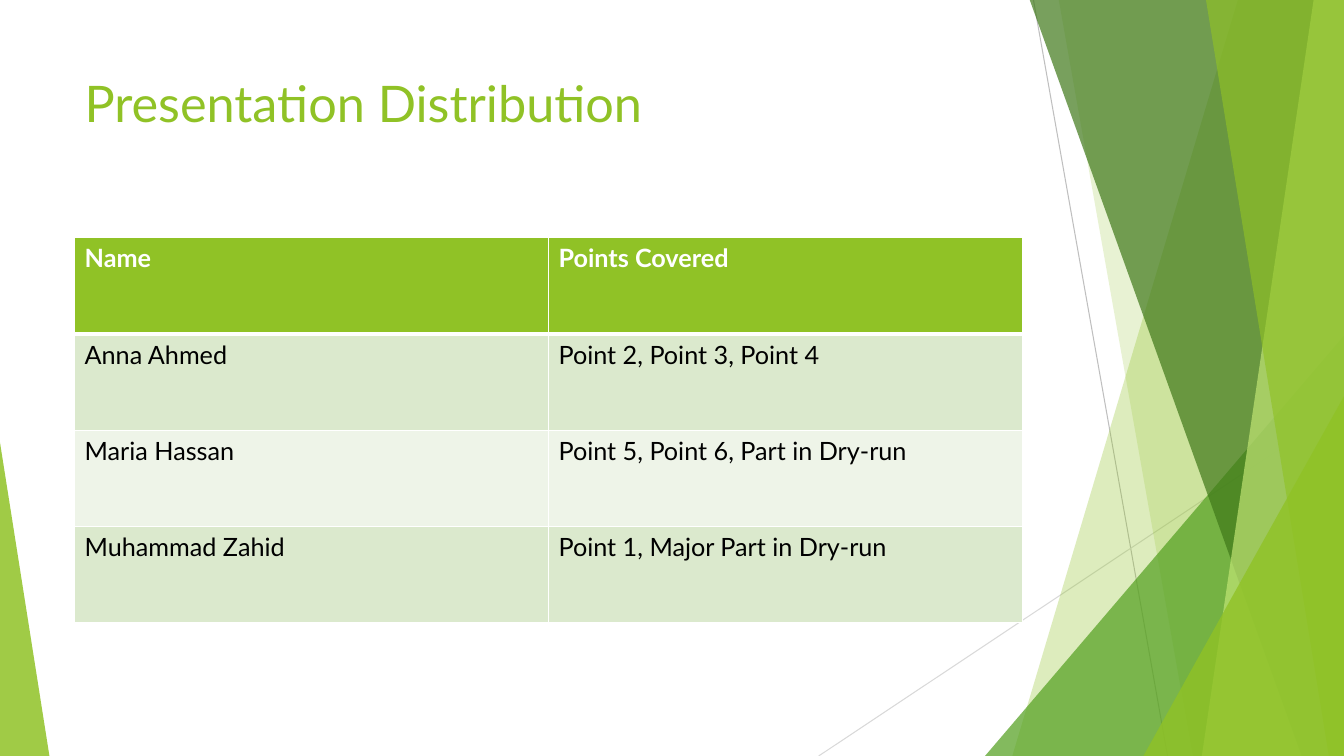
from dataclasses import dataclass

from lxml.etree import SubElement as Sub
from pptx import Presentation
from pptx.dml.color import RGBColor as Rgb
from pptx.enum.shapes import MSO_CONNECTOR as Conn, MSO_SHAPE as Kind
from pptx.enum.text import MSO_ANCHOR as Anchor
from pptx.oxml import parse_xml
from pptx.oxml.ns import nsdecls, qn
from pptx.util import Inches, Pt

FONT = "Lato"
HEX = {
    "lime": "90C226", "green": "54A021", "forest": "3F7819", "pale": "C0E474",
    "white": "FFFFFF", "black": "000000", "gray": "BFBFBF", "silver": "D9D9D9",
    "band": "DBE9CD", "light": "EEF4E8",
}
WIDE, HIGH, TOP = 13.33, 7.5, -0.01


@dataclass
class Ray:
    start: tuple[float, float]
    end: tuple[float, float]
    color: str


@dataclass
class Pane:
    """A panel that runs to the right edge of the slide."""
    top: float
    foot: float
    color: str
    alpha: int


@dataclass
class Wedge:
    left: float
    top: float
    width: float
    tip: float
    color: str
    alpha: int


RAYS = [
    Ray((10.25, 0), (11.58, HIGH), "gray"),
    Ray((WIDE, 4.03), (8.12, HIGH), "silver"),
]
DECOR = [
    Pane(12.28, 10.04, "lime", 30),
    Pane(10.5, 11.83, "lime", 20),
    Wedge(9.77, 3.33, 3.56, 1, "green", 72),
    Pane(10.21, 12.91, "forest", 70),
    Pane(13.03, 11.92, "pale", 70),
    Pane(11.96, 13.18, "lime", 65),
    Wedge(11.34, 3.93, 1.99, 1, "lime", 80),
    Wedge(0, 4.39, 0.49, 0, "lime", 85),
]
ROWS = [
    ("Name", "Points Covered"),
    ("Anna Ahmed", "Point 2, Point 3, Point 4"),
    ("Maria Hassan", "Point 5, Point 6, Part in Dry-run"),
    ("Muhammad Zahid", "Point 1, Major Part in Dry-run"),
]


def tint(name: str) -> Rgb:
    return Rgb.from_string(HEX[name])


def write(frame, text: str, size: int, color: str, bold: bool = False) -> None:
    run = frame.paragraphs[0].add_run()
    run.text = text
    font = run.font
    font.name, font.size, font.bold = FONT, Pt(size), bold
    font.color.rgb = tint(color)


def draw_ray(slide, ray: Ray) -> None:
    ends = [Inches(v) for v in ray.start + ray.end]
    line = slide.shapes.add_connector(Conn.STRAIGHT, *ends)
    line.line.color.rgb = tint(ray.color)
    line.line.width = Pt(0.75)
    Sub(line._element.spPr, qn("a:effectLst"))


def paint(shape, color: str, alpha: int) -> None:
    shape.shadow.inherit = False
    shape.line.fill.background()
    shape.fill.solid()
    shape.fill.fore_color.rgb = tint(color)
    clr = shape._element.spPr.find(qn("a:solidFill"))[0]
    Sub(clr, qn("a:alpha"), val=str(alpha * 1000))


def draw_pane(slide, pane: Pane) -> None:
    spots = [(pane.top, TOP), (WIDE, TOP), (WIDE, HIGH), (pane.foot, HIGH)]
    first, *rest = [(Inches(x), Inches(y)) for x, y in spots]
    pen = slide.shapes.build_freeform(*first)
    pen.add_line_segments(rest, close=True)
    paint(pen.convert_to_shape(), pane.color, pane.alpha)


def draw_wedge(slide, wedge: Wedge) -> None:
    shape = slide.shapes.add_shape(
        Kind.ISOSCELES_TRIANGLE, Inches(wedge.left), Inches(wedge.top),
        Inches(wedge.width), Inches(HIGH - wedge.top))
    shape.adjustments[0] = wedge.tip
    paint(shape, wedge.color, wedge.alpha)


def edge(cell, sides: dict[str, int]) -> None:
    # Borders stand ahead of the fill in the cell properties
    props = cell._tc.get_or_add_tcPr()
    for i, (side, width) in enumerate(sides.items()):
        props.insert(i, parse_xml(
            f'<a:ln{side} {nsdecls("a")} w="{Pt(width)}"><a:solidFill>'
            f'<a:srgbClr val="{HEX["white"]}"/></a:solidFill></a:ln{side}>'))


def draw_table(slide) -> None:
    grid = slide.shapes.add_table(
        len(ROWS), 2, Inches(0.74), Inches(2.36),
        Inches(9.4), Inches(3.82)).table
    for r, row in enumerate(ROWS):
        head = r == 0
        fill = "lime" if head else "band" if r % 2 else "light"
        for c, text in enumerate(row):
            cell = grid.cell(r, c)
            cell.fill.solid()
            cell.fill.fore_color.rgb = tint(fill)
            edge(cell, {"L": 1, "R": 1, "T": 3 if r == 1 else 1,
                        "B": 3 if head else 1})
            write(cell.text_frame, text, 18,
                  "white" if head else "black", head)


def main() -> None:
    deck = Presentation()
    deck.slide_width, deck.slide_height = Inches(WIDE), Inches(HIGH)
    slide = deck.slides.add_slide(deck.slide_layouts[6])

    # Backdrop
    for ray in RAYS:
        draw_ray(slide, ray)
    for part in DECOR:
        if isinstance(part, Pane):
            draw_pane(slide, part)
        else:
            draw_wedge(slide, part)

    # Title
    box = slide.shapes.add_textbox(
        Inches(0.74), Inches(0.67), Inches(9.4), Inches(1.44))
    box.text_frame.word_wrap = True
    box.text_frame.vertical_anchor = Anchor.TOP
    write(box.text_frame, "Presentation Distribution", 36, "lime")

    # Table
    draw_table(slide)
    deck.save("out.pptx")


if __name__ == "__main__":
    main()
